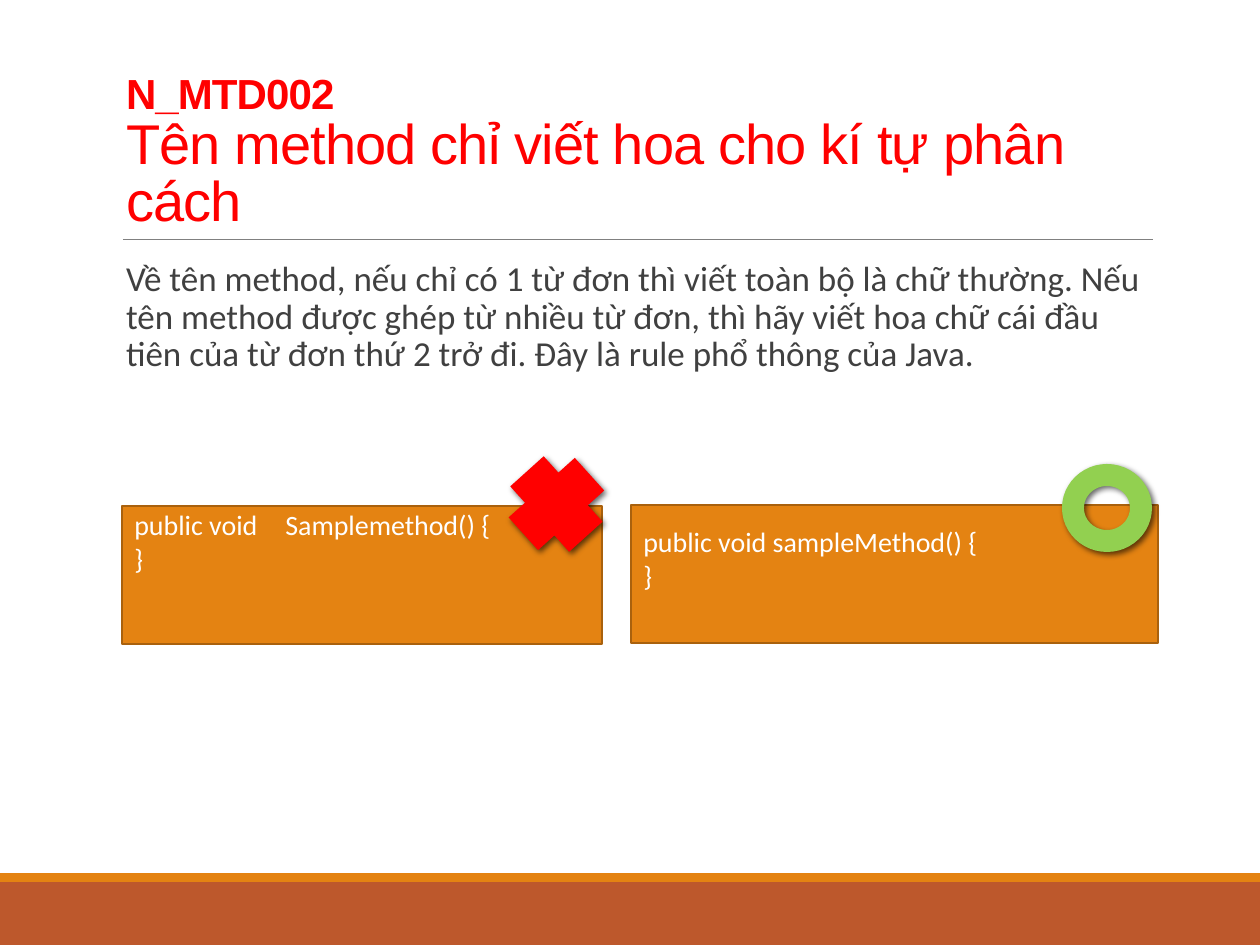
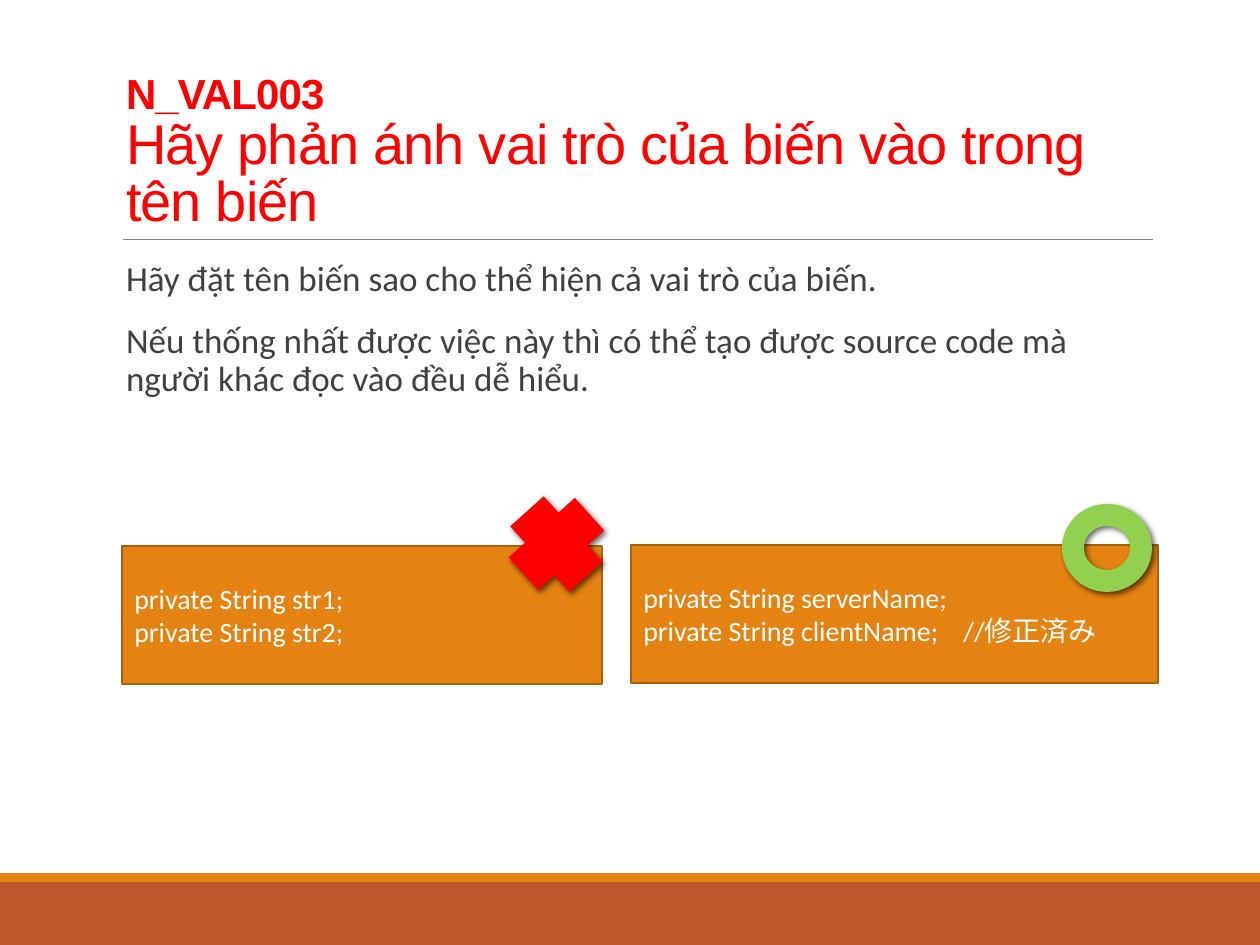
from lxml import etree
from pptx import Presentation
from pptx.dml.color import RGBColor
from pptx.enum.shapes import MSO_CONNECTOR, MSO_SHAPE
from pptx.enum.text import MSO_ANCHOR, PP_ALIGN
from pptx.oxml.ns import qn
from pptx.util import Emu, Pt

RECTANGLE, CROSS, DONUT = MSO_SHAPE.RECTANGLE, MSO_SHAPE.CROSS, MSO_SHAPE.DONUT
STRAIGHT = MSO_CONNECTOR.STRAIGHT
TOP, MIDDLE, BOTTOM = MSO_ANCHOR.TOP, MSO_ANCHOR.MIDDLE, MSO_ANCHOR.BOTTOM
LEFT = PP_ALIGN.LEFT

PX_PER_INCH = 126
TITLE_FONT, BODY_FONT = "Arial", "Calibri"
COLORS = {
    "band": "BD582C", "accent": "E48312", "accent_line": "A9610D",
    "rule": "808080", "title": "FF0000", "body": "404040",
    "code": "FFFFFF", "bad": "FF0000", "good": "92D050", "shadow": "000000",
}


# Basics
def px(length):
    return Emu(round(length * 914400 / PX_PER_INCH))


def color(name):
    return RGBColor.from_string(COLORS[name])


def style(font, name, color_name, size=None):
    font.name = name
    font.color.rgb = color(color_name)
    if size:
        font.size = Pt(size)


def add_shape(slide, kind, box, fill, line=None):
    shape = slide.shapes.add_shape(kind, *map(px, box))
    shape.shadow.inherit = False
    shape.fill.solid()
    shape.fill.fore_color.rgb = color(fill)
    if line:
        shape.line.color.rgb = color(line)
        shape.line.width = Pt(1.25)
    else:
        shape.line.fill.background()
    return shape


def add_text_frame(slide, box, anchor):
    frame = slide.shapes.add_textbox(*map(px, box)).text_frame
    frame.word_wrap = True
    frame.vertical_anchor = anchor
    frame.margin_left, frame.margin_right = px(13), 0
    return frame


# Shared frame of every slide
def add_frame(slide):
    add_shape(slide, RECTANGLE, (0, 882, 1260, 63), "band")
    add_shape(slide, RECTANGLE, (0, 873, 1260, 9), "accent")
    rule = slide.shapes.add_connector(STRAIGHT, px(123), px(239), px(1153), px(239))
    rule.line.color.rgb = color("rule")
    rule.line.width = Pt(0.5)
    etree.SubElement(rule._element.spPr, qn("a:effectLst"))


def add_title(slide, code, title):
    frame = add_text_frame(slide, (113, 39, 1040, 200), BOTTOM)
    paragraph = frame.paragraphs[0]
    paragraph.line_spacing = 0.85
    style(paragraph.font, TITLE_FONT, "title")
    for text, size, bold in ((code, 24, True), (title, 32, False)):
        if paragraph.runs:
            paragraph.add_line_break()
        run = paragraph.add_run()
        run.text = text
        run.font.size, run.font.bold = Pt(size), bold
        run._r.get_or_add_rPr().set("spc", "-50")


def add_body(slide, texts):
    frame = add_text_frame(slide, (113, 255, 1040, 554), TOP)
    for index, text in enumerate(texts):
        paragraph = frame.paragraphs[0] if index == 0 else frame.add_paragraph()
        paragraph.text = text
        paragraph.line_spacing = 0.9
        paragraph.space_before = Pt(12 if index else 0)
        paragraph.space_after = Pt(2)
        style(paragraph.font, BODY_FONT, "body", 20)


# Code examples and their verdict marks
def add_code(slide, box, lines, top_margin=None):
    """Centre the code, or start it top_margin below the edge."""
    frame = add_shape(slide, RECTANGLE, box, "accent", "accent_line").text_frame
    frame.word_wrap = True
    frame.vertical_anchor = MIDDLE
    if top_margin is not None:
        frame.vertical_anchor = TOP
        frame.margin_top = px(top_margin)
    for index, line in enumerate(lines):
        paragraph = frame.paragraphs[0] if index == 0 else frame.add_paragraph()
        paragraph.text = line
        paragraph.alignment = LEFT
        if "\t" in line:
            tabs = etree.SubElement(paragraph._p.get_or_add_pPr(), qn("a:tabLst"))
            etree.SubElement(tabs, qn("a:tab"), pos=str(px(320)), algn="l")
        style(paragraph.font, BODY_FONT, "code", 16)


def add_mark(slide, kind, box, fill, rotation=0):
    mark = add_shape(slide, kind, box, fill)
    mark.rotation = rotation
    effects = mark._element.spPr.find(qn("a:effectLst"))
    shadow = etree.SubElement(effects, qn("a:outerShdw"), blurRad=str(Pt(3.5)),
                              dist=str(Pt(2)), dir="2700000", rotWithShape="0")
    tint = etree.SubElement(shadow, qn("a:srgbClr"), val=COLORS["shadow"])
    etree.SubElement(tint, qn("a:alpha"), val="60000")


def add_comparison(slide, top, bad, good, margins=(None, None)):
    add_code(slide, (122, top + 1, 480, 138), bad, margins[0])
    add_code(slide, (631, top, 527, 138), good, margins[1])
    add_mark(slide, CROSS, (512, top - 45, 89, 88), "bad", 318)
    add_mark(slide, DONUT, (1062, top - 41, 90, 88), "good")


def add_rule_slide(presentation, code, title, body, **comparison):
    slide = presentation.slides.add_slide(presentation.slide_layouts[6])
    add_frame(slide)
    add_title(slide, code, title)
    add_body(slide, body)
    add_comparison(slide, **comparison)


def main():
    presentation = Presentation()
    presentation.slide_width, presentation.slide_height = px(1260), px(945)

    # Method names
    add_rule_slide(
        presentation, "N_MTD002", "Tên method chỉ viết hoa cho kí tự phân cách",
        ["Về tên method, nếu chỉ có 1 từ đơn thì viết toàn bộ là chữ thường. "
         "Nếu tên method được ghép từ nhiều từ đơn, thì hãy viết hoa chữ cái "
         "đầu tiên của từ đơn thứ 2 trở đi. Đây là rule phổ thông của Java."],
        top=505,
        bad=["public void　Samplemethod() {", "}"],
        good=["public void sampleMethod() {", "}"],
        margins=(2, 20))

    # Variable names
    add_rule_slide(
        presentation, "N_VAL003", "Hãy phản ánh vai trò của biến vào trong tên biến",
        ["Hãy đặt tên biến sao cho thể hiện cả vai trò của biến.",
         "Nếu thống nhất được việc này thì có thể tạo được source code mà "
         "người khác đọc vào đều dễ hiểu."],
        top=545,
        bad=["private String str1;", "private String str2;"],
        good=["private String serverName;", "private String clientName;\t//修正済み"])

    presentation.save("out.pptx")


if __name__ == "__main__":
    main()
